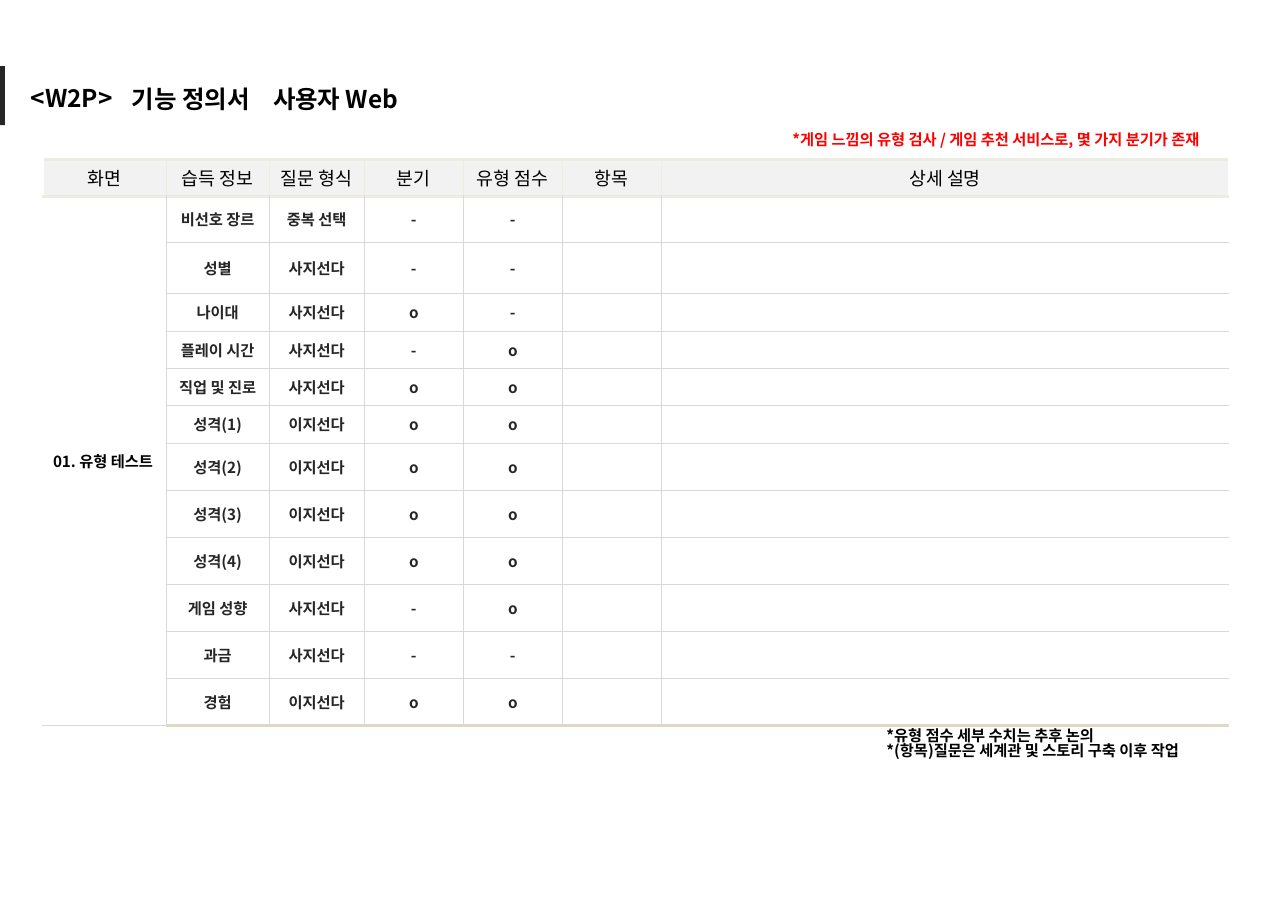
from lxml.etree import SubElement
from pptx import Presentation
from pptx.dml.color import RGBColor
from pptx.enum.shapes import MSO_SHAPE
from pptx.enum.text import MSO_ANCHOR, PP_ALIGN
from pptx.oxml.ns import qn
from pptx.util import Pt

PX = 914400 // 110
FONT = "Noto Sans CJK KR"
rgb = RGBColor.from_string


def add_run(p, text, size, color, bold):
    r = p.add_run()
    r.text = text
    r.font.size = Pt(size)
    r.font.bold = bold
    r.font.color.rgb = rgb(color)
    r.font.name = FONT
    SubElement(r.font._element, qn("a:ea"), typeface=FONT)


def add_border(cell, side, color, width):
    ln = SubElement(cell._tc.get_or_add_tcPr(), qn("a:ln" + side), w=str(Pt(width)))
    fill = SubElement(ln, qn("a:solidFill"))
    SubElement(fill, qn("a:srgbClr"), val=color)


prs = Presentation()
prs.slide_width = 1287 * PX
prs.slide_height = 910 * PX
s = prs.slides.add_slide(prs.slide_layouts[6])

headers = ["화면", "습득 정보", "질문 형식", "분기", "유형 점수", "항목", "상세 설명"]
questions = [
    ("비선호 장르", "중복 선택", "-", "-"),
    ("성별", "사지선다", "-", "-"),
    ("나이대", "사지선다", "o", "-"),
    ("플레이 시간", "사지선다", "-", "o"),
    ("직업 및 진로", "사지선다", "o", "o"),
    ("성격(1)", "이지선다", "o", "o"),
    ("성격(2)", "이지선다", "o", "o"),
    ("성격(3)", "이지선다", "o", "o"),
    ("성격(4)", "이지선다", "o", "o"),
    ("게임 성향", "사지선다", "-", "o"),
    ("과금", "사지선다", "-", "-"),
    ("경험", "이지선다", "o", "o"),
]
rows = [headers] + [("", *q, "", "") for q in questions]
rows[1] = ("01. 유형 테스트", *rows[1][1:])
widths = [123, 103, 95, 99, 99, 99, 567]
heights = [37, 46, 51, 38, 37, 37, 38] + [47] * 6
last_row, last_col = len(rows) - 1, len(widths) - 1

frame = s.shapes.add_table(len(rows), len(widths), 43 * PX, 159 * PX,
                           sum(widths) * PX, sum(heights) * PX)
table = frame.table
table.first_row = False
table.horz_banding = False
for column, width in zip(table.columns, widths):
    column.width = width * PX
for row, height in zip(table.rows, heights):
    row.height = height * PX

outer = ("FFFFFF", 1)
thin = ("D9D9D9", 0.5)
header_side = ("EEECE1", 0.75)
header_rule = ("EEECE1", 2.25)
bottom_rule = ("DDD9C3", 2.25)

for i, values in enumerate(rows):
    for j, text in enumerate(values):
        cell = table.cell(i, j)
        inner = header_side if i == 0 else thin
        add_border(cell, "L", *(outer if j == 0 else inner))
        add_border(cell, "R", *(outer if j == last_col else inner))
        add_border(cell, "T", *(header_rule if i < 2 else thin))
        add_border(cell, "B", *(header_rule if i == 0 else bottom_rule if i == last_row else thin))
        cell.fill.solid()
        cell.fill.fore_color.rgb = rgb("F2F2F2" if i == 0 else "FFFFFF")
        cell.margin_left = cell.margin_right = 10 * PX
        cell.margin_top = cell.margin_bottom = 4 * PX
        cell.vertical_anchor = MSO_ANCHOR.MIDDLE
        p = cell.text_frame.paragraphs[0]
        if i == 0 or j > 0:
            p.alignment = PP_ALIGN.CENTER
        if text:
            color = "000000" if i == 0 or j == 0 else "262626"
            add_run(p, text, 12 if i == 0 else 10, color, i > 0)
        else:
            SubElement(p._p, qn("a:endParaRPr"), sz="1000")
table.cell(1, 0).merge(table.cell(last_row, 0))

accent = s.shapes.add_shape(MSO_SHAPE.RECTANGLE, 0, 66 * PX, 5 * PX, 59 * PX)
accent.shadow.inherit = False
accent.fill.solid()
accent.fill.fore_color.rgb = rgb("262626")
accent.line.fill.background()

texts = [
    (875, 723, 349, 48, 10, "000000", 0.82,
     ["*유형 점수 세부 수치는 추후 논의", "*(항목)질문은 세계관 및 스토리 구축 이후 작업"]),
    (781, 125, 472, 30, 10, "FF0000", 1,
     ["*게임 느낌의 유형 검사 / 게임 추천 서비스로, 몇 가지 분기가 존재"]),
    (20, 78, 129, 41, 16, "000000", 1, ["<W2P>"]),
    (121, 79, 323, 41, 16, "000000", 1, ["기능 정의서"]),
    (262, 79, 172, 41, 16, "000000", 1, ["사용자 Web"]),
]
for x, y, w, h, size, color, spacing, lines in texts:
    tf = s.shapes.add_textbox(x * PX, y * PX, w * PX, h * PX).text_frame
    tf.word_wrap = True
    for n, line in enumerate(lines):
        p = tf.add_paragraph() if n else tf.paragraphs[0]
        p.line_spacing = spacing
        add_run(p, line, size, color, True)

prs.save("out.pptx")
